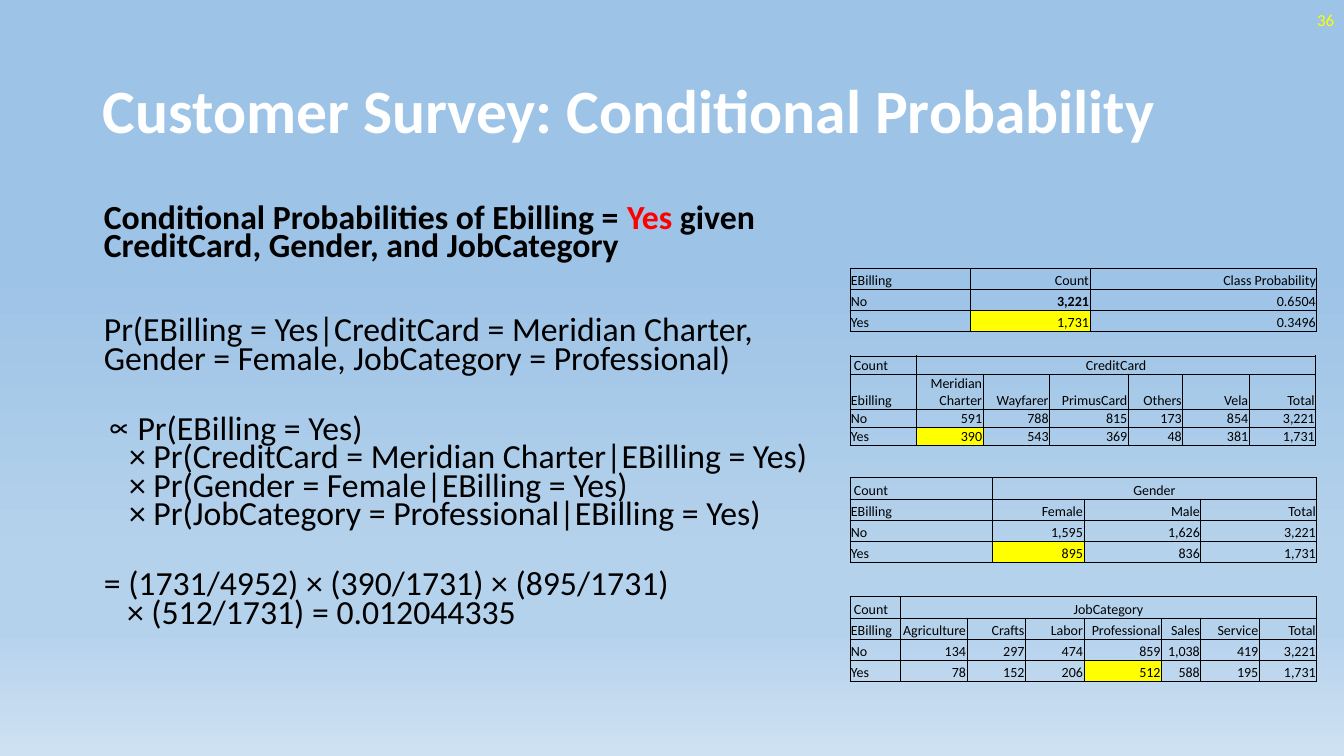
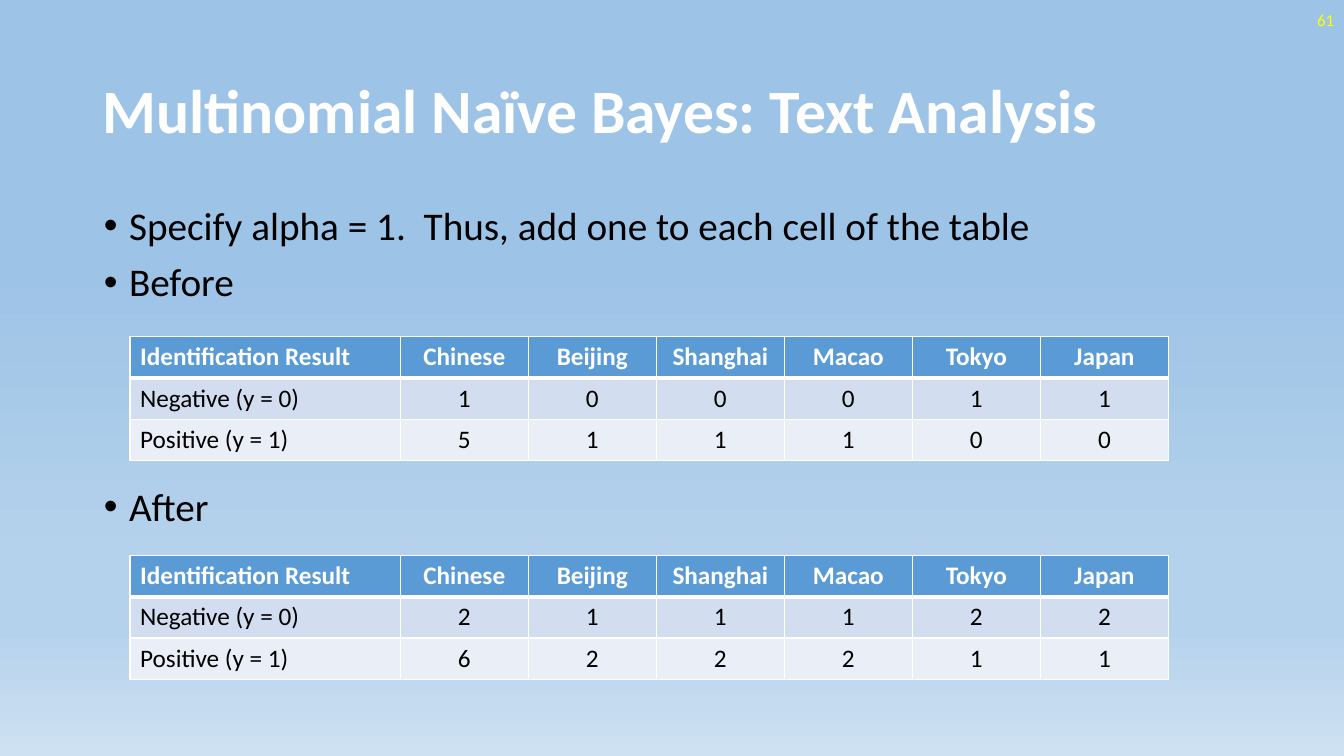
"""Build two Naïve Bayes slides: conditional probability and text analysis."""
from copy import deepcopy
from dataclasses import dataclass

from lxml import etree
from pptx import Presentation
from pptx.dml.color import RGBColor
from pptx.enum.text import MSO_ANCHOR, MSO_AUTO_SIZE, PP_ALIGN
from pptx.oxml.ns import qn
from pptx.util import Pt

LEFT, CENTER, RIGHT = PP_ALIGN.LEFT, PP_ALIGN.CENTER, PP_ALIGN.RIGHT
TOP, MIDDLE, BOTTOM = MSO_ANCHOR.TOP, MSO_ANCHOR.MIDDLE, MSO_ANCHOR.BOTTOM
NO_FIT = MSO_AUTO_SIZE.NONE
PX = 9144


@dataclass(frozen=True)
class Theme:
    font: str = "Calibri"
    white: str = "FFFFFF"
    black: str = "000000"
    red: str = "FF0000"
    yellow: str = "FFFF00"
    header: str = "5B9BD5"
    bands: tuple = ("D2DEEF", "EAEFF7")
    sky: tuple = ((35, "9DC3E6"), (74, "B5D2EC"), (83, "B5D2EC"), (100, "CEE1F2"))
    title_size: float = 44
    list_size: float = 28
    formula_size: float = 24.1
    result_size: float = 18
    number_size: float = 12
    count_size: float = 10


theme = Theme()


def write(paragraph, text, *, size, color=theme.black, bold=False, align=None,
          spacing=None, before=None, bullet=None, hang=0):
    """Append text to a paragraph, with line breaks at newlines."""
    if align is not None:
        paragraph.alignment = align
    if spacing is not None:
        paragraph.line_spacing = spacing
    if before is not None:
        paragraph.space_before = Pt(before)
    if bullet is not None:
        properties = paragraph._p.get_or_add_pPr()
        properties.set("marL", str(hang * PX))
        properties.set("indent", str(-hang * PX))
        if bullet:
            etree.SubElement(properties, qn("a:buChar")).set("char", bullet)
        else:
            etree.SubElement(properties, qn("a:buNone"))
    for index, line in enumerate(text.split("\n")):
        if index:
            paragraph.add_line_break()
        run = paragraph.add_run()
        run.text = line
        run.font.name = theme.font
        run.font.size = Pt(size)
        run.font.bold = bold
        run.font.color.rgb = RGBColor.from_string(color)
    for line_break in paragraph._p.findall(qn("a:br")):
        if len(line_break) == 0:
            line_break.append(deepcopy(run._r.rPr))


def add_grid(slide, left, top, widths, heights, rows, *, fill_of, text_of, anchor,
             border, line_of, margin=None):
    """Add a table whose short rows merge their last cell to the right edge."""
    table = slide.shapes.add_table(len(rows), len(widths), left * PX, top * PX,
                                   sum(widths) * PX, sum(heights) * PX).table
    table.first_row = table.horz_banding = False
    for column, width in zip(table.columns, widths):
        column.width = width * PX
    for row, height in zip(table.rows, heights):
        row.height = height * PX
    for r, texts in enumerate(rows):
        merged = len(texts) < len(widths)
        if merged:
            table.cell(r, 1).merge(table.cell(r, len(widths) - 1))
        for c in range(len(widths)):
            cell = table.cell(r, c)
            cell.vertical_anchor = anchor
            if margin is not None:
                cell.margin_left = (4 * margin if merged and c == 0 else margin) * PX
                cell.margin_right = cell.margin_top = margin * PX
                cell.margin_bottom = 0
            color = fill_of(r, c)
            if color:
                cell.fill.solid()
                cell.fill.fore_color.rgb = RGBColor.from_string(color)
            else:
                cell.fill.background()
            properties = cell._tc.get_or_add_tcPr()
            for position, side in enumerate(("L", "R", "T", "B")):
                edge = etree.Element(qn("a:ln" + side), w=str(Pt(line_of(r, side))))
                paint = etree.SubElement(edge, qn("a:solidFill"))
                etree.SubElement(paint, qn("a:srgbClr"), val=border)
                properties.insert(position, edge)
            if c < len(texts):
                write(cell.text_frame.paragraphs[0], texts[c], **text_of(r, c, merged))


deck = Presentation()
deck.slide_width, deck.slide_height = 1333 * PX, 750 * PX

master = deck.slide_master
sky_fill = master.background.fill
sky_fill.gradient()
sky_fill.gradient_angle = 270
stops = master.element.find(".//" + qn("a:gsLst"))
for stop in list(stops):
    stops.remove(stop)
for percent, color in theme.sky:
    stop = etree.SubElement(stops, qn("a:gs"), pos=str(percent * 1000))
    etree.SubElement(stop, qn("a:srgbClr"), val=color)

slides = []
for heading, number, body_width in (
        ("Customer Survey: Conditional Probability", "36", 723),
        ("Multinomial Naïve Bayes: Text Analysis", "61", 1150)):
    slide = deck.slides.add_slide(deck.slide_layouts[1])
    slides.append(slide)
    title, body = slide.placeholders
    page = slide.shapes.add_textbox(0, 0, 0, 0)
    for part, box, anchor in ((title, (92, 40, 1150, 145), MIDDLE),
                              (body, (93, 200, body_width, 476), TOP),
                              (page, (1033, 0, 300, 40), MIDDLE)):
        part.left, part.top, part.width, part.height = (edge * PX for edge in box)
        part.text_frame.word_wrap = True
        part.text_frame.auto_size = NO_FIT
        part.text_frame.vertical_anchor = anchor
    write(title.text_frame.paragraphs[0], heading, size=theme.title_size,
          color=theme.white, bold=True, align=LEFT, spacing=0.9)
    write(page.text_frame.paragraphs[0], number, size=theme.number_size,
          color=theme.yellow, align=RIGHT)

survey, analysis = slides

formulas = survey.placeholders[1].text_frame
lead = formulas.paragraphs[0]
write(lead, "Conditional Probabilities of Ebilling = ", size=theme.formula_size,
      bold=True, spacing=0.7, before=0, bullet="")
write(lead, "Yes", size=theme.formula_size, color=theme.red, bold=True)
write(lead, " given CreditCard, Gender, and JobCategory", size=theme.formula_size, bold=True)
for text, before, bullet, hang in (
        ("Pr(EBilling = Yes|CreditCard = Meridian Charter, "
         "Gender = Female, JobCategory = Professional)", 40, "", 0),
        ("Pr(EBilling = Yes)\n"
         "× Pr(CreditCard = Meridian Charter|EBilling = Yes)\n"
         "× Pr(Gender = Female|EBilling = Yes)\n"
         "× Pr(JobCategory = Professional|EBilling = Yes)", 30, "∝", 25),
        ("= (1731/4952) × (390/1731) × (895/1731)\n"
         "× (512/1731) = 0.012044335", 30, "", 23)):
    write(formulas.add_paragraph(), text, size=theme.formula_size, spacing=0.7,
          before=before, bullet=bullet, hang=hang)

count_tables = (
    (266, (119, 119, 225), (21, 21, 21), (2, 1), (1, 1), (
        ("EBilling", "Count", "Class Probability"),
        ("No", "3,221", "0.6504"),
        ("Yes", "1,731", "0.3496"))),
    (353, (66, 66, 66, 78, 54, 66, 66), (18, 34, 18, 18), (3, 1), None, (
        ("Count", "CreditCard"),
        ("Ebilling", "Meridian Charter", "Wayfarer", "PrimusCard", "Others", "Vela", "Total"),
        ("No", "591", "788", "815", "173", "854", "3,221"),
        ("Yes", "390", "543", "369", "48", "381", "1,731"))),
    (474, (141, 91, 116, 115), (21, 21, 21, 21), (3, 1), None, (
        ("Count", "Gender"),
        ("EBilling", "Female", "Male", "Total"),
        ("No", "1,595", "1,626", "3,221"),
        ("Yes", "895", "836", "1,731"))),
    (592, (50, 66, 58, 58, 77, 39, 58, 57), (21, 21, 21, 21), (3, 4), None, (
        ("Count", "JobCategory"),
        ("EBilling", "Agriculture", "Crafts", "Labor", "Professional", "Sales",
         "Service", "Total"),
        ("No", "134", "297", "474", "859", "1,038", "419", "3,221"),
        ("Yes", "78", "152", "206", "512", "588", "195", "1,731"))),
)
for top, widths, heights, highlight, strong, rows in count_tables:
    add_grid(survey, 843, top, widths, heights, rows, anchor=BOTTOM, margin=1,
             border=theme.black, line_of=lambda r, side: 0.5,
             fill_of=lambda r, c: theme.yellow if (r, c) == highlight else None,
             text_of=lambda r, c, merged: dict(
                 size=theme.count_size, bold=(r, c) == strong,
                 align=LEFT if c == 0 else CENTER if merged else RIGHT))

steps = analysis.placeholders[1].text_frame
for index, (text, before) in enumerate((
        ("Specify alpha = 1.  Thus, add one to each cell of the table", 0),
        ("Before", 10),
        ("After", 130))):
    paragraph = steps.add_paragraph() if index else steps.paragraphs[0]
    write(paragraph, text, size=theme.list_size, spacing=0.9, before=before,
          bullet="•", hang=25)

words = ("Identification Result", "Chinese", "Beijing", "Shanghai", "Macao", "Tokyo", "Japan")
for top, negative, positive in ((334, "100011", "511100"), (551, "211122", "622211")):
    rows = (words, ("Negative (y = 0)", *negative), ("Positive (y = 1)", *positive))
    add_grid(analysis, 129, top, (268,) + (127,) * 6, (41,) * 3, rows, anchor=MIDDLE,
             border=theme.white,
             line_of=lambda r, side: 3 if (r, side) in ((0, "B"), (1, "T")) else 1,
             fill_of=lambda r, c: (theme.header, *theme.bands)[r],
             text_of=lambda r, c, merged: dict(
                 size=theme.result_size, bold=r == 0,
                 color=theme.black if r else theme.white,
                 align=CENTER if c else LEFT))

deck.save("out.pptx")
